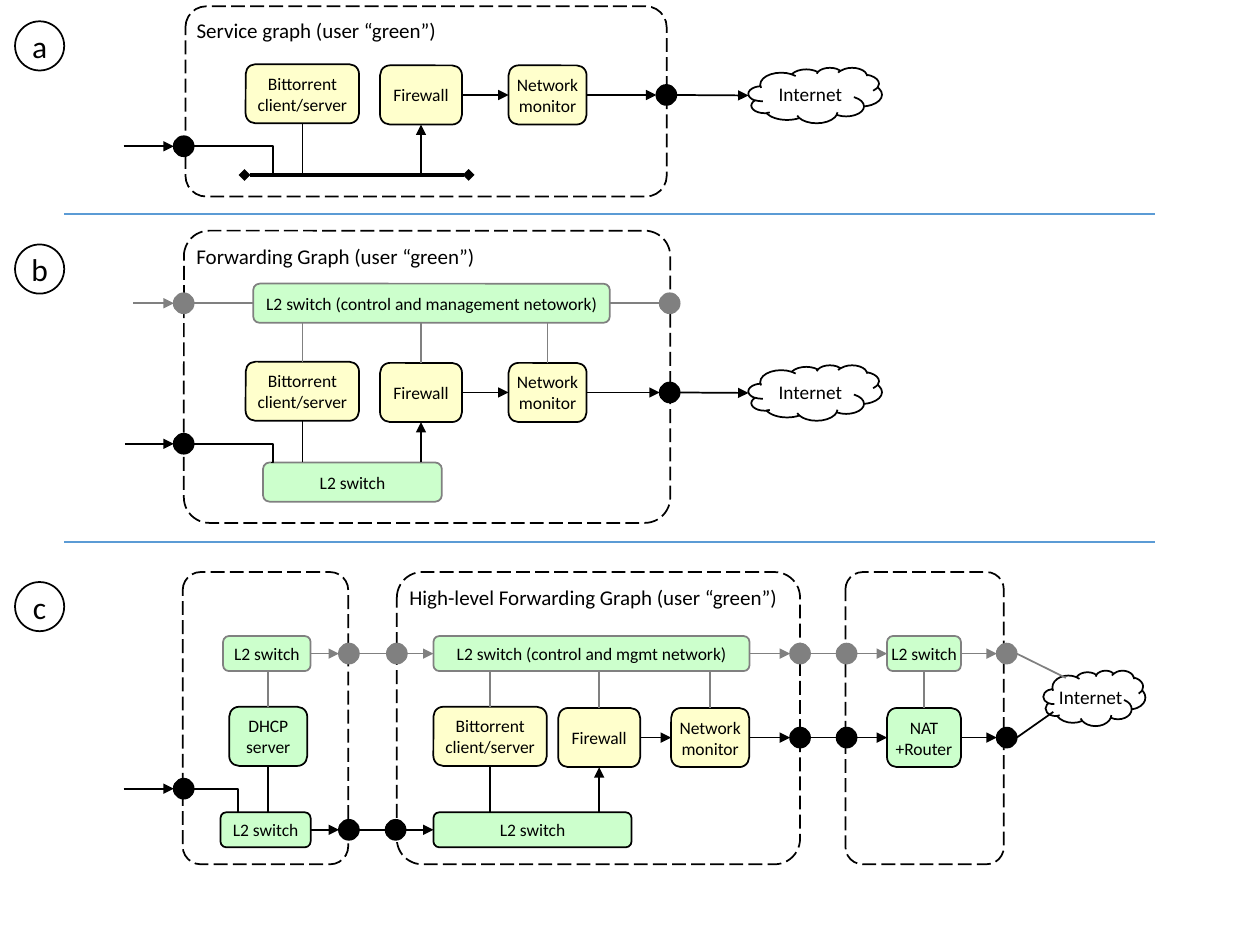
from lxml import etree
from pptx import Presentation
from pptx.dml.color import RGBColor
from pptx.enum.dml import MSO_LINE
from pptx.enum.shapes import MSO_CONNECTOR, MSO_SHAPE
from pptx.enum.text import MSO_ANCHOR, PP_ALIGN
from pptx.oxml.ns import qn
from pptx.util import Pt

ROUNDED = MSO_SHAPE.ROUNDED_RECTANGLE
ELLIPSE = MSO_SHAPE.OVAL
CLOUD = MSO_SHAPE.CLOUD
STRAIGHT = MSO_CONNECTOR.STRAIGHT
ELBOW = MSO_CONNECTOR.ELBOW
DASH = MSO_LINE.LONG_DASH
MIDDLE, TOP_ANCHOR = MSO_ANCHOR.MIDDLE, MSO_ANCHOR.TOP
CENTER, JUSTIFY = PP_ALIGN.CENTER, PP_ALIGN.JUSTIFY

BLACK = RGBColor(0x00, 0x00, 0x00)
GRAY = RGBColor(0x80, 0x80, 0x80)
WHITE = RGBColor(0xFF, 0xFF, 0xFF)
YELLOW = RGBColor(0xFF, 0xFF, 0xCC)
GREEN = RGBColor(0xCC, 0xFF, 0xCC)
BLUE = RGBColor(0x5B, 0x9B, 0xD5)

TOP, LEFT, BOTTOM, RIGHT = range(4)
SIDE_POINTS = [(0.5, 0), (0, 0.5), (0.5, 1), (1, 0.5)]

presentation = Presentation()
presentation.slide_width, presentation.slide_height = Pt(720), Pt(540)
slide = presentation.slides.add_slide(presentation.slide_layouts[6])


def add_shape(kind, box, text="", fill=None, line=BLACK, size=10,
              inset=0, anchor=MIDDLE, align=CENTER):
    shape = slide.shapes.add_shape(kind, *[Pt(value) for value in box])
    shape.shadow.inherit = False
    if fill is None:
        shape.fill.background()
    else:
        shape.fill.solid()
        shape.fill.fore_color.rgb = fill
    shape.line.color.rgb = line
    shape.line.width = Pt(1)
    frame = shape.text_frame
    frame.word_wrap = True
    frame.vertical_anchor = anchor
    frame.margin_left = frame.margin_right = Pt(inset)
    frame.margin_top = frame.margin_bottom = Pt(inset)
    if text:
        frame.text = text
        for paragraph in frame.paragraphs:
            paragraph.alignment = align
            paragraph.font.size = Pt(size)
            paragraph.font.name = "Calibri"
            paragraph.font.color.rgb = BLACK
    return shape


def add_line(start, end, color=BLACK, head=None, tail=None, width=1, kind=STRAIGHT):
    """Each end is an (x, y) point or a (shape, side) pair."""
    points = []
    for first, second in (start, end):
        if hasattr(first, "shape_type"):
            across, down = SIDE_POINTS[second]
            points += [int(first.left + first.width * across),
                       int(first.top + first.height * down)]
        else:
            points += [Pt(first), Pt(second)]
    connector = slide.shapes.add_connector(kind, *points)
    for (shape, side), join in ((start, connector.begin_connect), (end, connector.end_connect)):
        if hasattr(shape, "shape_type") and shape.auto_shape_type == ROUNDED:
            join(shape, side)
    connector.line.color.rgb = color
    connector.line.width = Pt(width)
    outline = connector.line._get_or_add_ln()
    for tag, arrow in (("a:headEnd", head), ("a:tailEnd", tail)):
        if arrow:
            etree.SubElement(outline, qn(tag)).set("type", arrow)
    etree.SubElement(connector._element.spPr, qn("a:effectLst"))
    return connector


# Separators and panel letters
for y in (122.5, 309.7):
    add_line((36.7, y), (660.3, y), BLUE)
for letter, y in (("a", 12.2), ("b", 139.7), ("c", 332.6)):
    add_shape(ELLIPSE, (8.6, y, 28.1, 28.1), letter, size=18, inset=3)

# Dashed frames
frames = [
    ((106, 3.6, 275, 108.7), 0.109, "Service graph (user “green”)"),
    ((105.1, 131.8, 277.9, 167), 0.087, "Forwarding Graph (user “green”)"),
    ((226.8, 326.9, 230.4, 167), 0.087, "High-level Forwarding Graph (user “green”)"),
    ((104.4, 326.9, 94.6, 167), 0.109, ""),
    ((483.1, 326.9, 90.5, 167), 0.109, ""),
]
for box, corner, title in frames:
    frame_shape = add_shape(ROUNDED, box, title, size=12, inset=2.9,
                            anchor=TOP_ANCHOR, align=JUSTIFY)
    frame_shape.adjustments[0] = corner
    frame_shape.line.dash_style = DASH

# Network functions: panel, top, left edges of the three boxes
nodes = {}
functions = [
    ("client", "Bittorrent client/server", 64.8, 0),
    ("firewall", "Firewall", 46.8, 0.7),
    ("monitor", "Network\nmonitor", 44.6, 0.7),
]
for panel, top, lefts in (("a", 36.7, (140.4, 217.2, 290.6)),
                          ("b", 206.7, (140.4, 217.2, 290.6)),
                          ("c", 403.9, (247.7, 319, 383.5))):
    for (name, text, width, drop), left in zip(functions, lefts):
        nodes[panel, name] = add_shape(ROUNDED, (left, top + drop, width, 33.8), text, YELLOW)

# Switches, DHCP server and router
green_boxes = [
    ("b", "control", (144.7, 162.1, 203.8, 22.4), GRAY,
     "L2 switch (control and management netowork)"),
    ("b", "data", (150.3, 264.3, 102.2, 22.4), GRAY, "L2 switch"),
    ("c", "dhcp control", (127.5, 363.5, 50, 20), GRAY, "L2 switch"),
    ("c", "control", (247.7, 363.5, 180.6, 20), GRAY, "L2 switch (control and mgmt network)"),
    ("c", "nat control", (506.9, 363.5, 42.2, 20), GRAY, "L2 switch"),
    ("c", "dhcp", (131, 403.9, 44.6, 33.8), BLACK, "DHCP server"),
    ("c", "nat", (506.9, 404.6, 42.2, 33.8), BLACK, "NAT +Router"),
    ("c", "dhcp data", (126, 464.2, 51.5, 20), BLACK, "L2 switch"),
    ("c", "data", (247.7, 464.2, 113.2, 20), BLACK, "L2 switch"),
]
for panel, name, box, line, text in green_boxes:
    nodes[panel, name] = add_shape(ROUNDED, box, text, GREEN, line)

# Internet clouds
for panel, box in (("a", (427.7, 38.7, 76.3, 31.7)), ("b", (427.7, 208.7, 76.3, 31.7)),
                   ("c", (596.2, 383.2, 58.3, 31.7))):
    nodes[panel, "internet"] = add_shape(CLOUD, box, "Internet", WHITE, size=11)

# Endpoints, placed by their centres
DOT = 11.4
dots = [
    ("a", BLACK, 83.6, {"in": 105, "out": 380.8}),
    ("a", BLACK, 54.3, {"out": 380.8}),
    ("b", GRAY, 173.3, {"control in": 105, "control out": 382.7}),
    ("b", BLACK, 253.6, {"in": 105}),
    ("b", BLACK, 224.3, {"out": 382.7}),
    ("c", BLACK, 450.7, {"in": 105}),
    ("c", GRAY, 373.5, {"control 1": 199.4, "control 2": 226.8, "control 3": 457.2,
                        "control 4": 483.8, "control 5": 575.3}),
    ("c", BLACK, 421.5, {"data 3": 457.2, "data 4": 483.8, "data 5": 575.3}),
    ("c", BLACK, 474.2, {"data 1": 199.4, "data 2": 226.1}),
]
dots[0][3].pop("out")
for panel, color, y, centres in dots:
    for name, x in centres.items():
        nodes[panel, name] = add_shape(
            ELLIPSE, (x - DOT / 2, y - DOT / 2, DOT, DOT), fill=color, line=color)

# Arrows entering from the left
for panel, name, x, y, color in (("a", "in", 70.6, 83.6, BLACK), ("b", "in", 71.3, 253.6, BLACK),
                                 ("b", "control in", 76.3, 173.3, GRAY),
                                 ("c", "in", 70.6, 450.7, BLACK)):
    add_line((x, y), (nodes[panel, name], LEFT), color, tail="triangle")

# Horizontal chains; ">" is an arrow, "-" a plain line
chains = [
    ("a", BLACK, "firewall > monitor > out > internet"),
    ("b", BLACK, "firewall > monitor > out > internet"),
    ("b", GRAY, "control in - control - control out"),
    ("c", GRAY, "dhcp control > control 1 - control 2 > control > control 3 - control 4"
                " > nat control > control 5"),
    ("c", BLACK, "firewall > monitor > data 3 - data 4 > nat > data 5"),
    ("c", BLACK, "dhcp data > data 1 - data 2 > data"),
]
for panel, color, chain in chains:
    parts = chain.replace(" > ", "|>|").replace(" - ", "|-|").split("|")
    for left, link, right in zip(parts[::2], parts[1::2], parts[2::2]):
        add_line((nodes[panel, left], RIGHT), (nodes[panel, right], LEFT), color,
                 tail="triangle" if link == ">" else None)

# Vertical links: each function up to the control switch and down to the data switch
verticals = [
    ("a", None, 100, ("client", "firewall"), ()),
    ("b", 184.5, 264.3, ("client", "firewall"), ("client", "firewall", "monitor")),
    ("c", 383.5, 464.2, ("client", "firewall", "dhcp"),
     ("client", "firewall", "monitor", "dhcp", "nat")),
]
for panel, control_y, data_y, data_names, control_names in verticals:
    for name in data_names:
        node = nodes[panel, name]
        add_line(((node.left + node.width / 2) / Pt(1), data_y), (node, BOTTOM),
                 tail="triangle" if name == "firewall" else None)
    for name in control_names:
        node = nodes[panel, name]
        add_line(((node.left + node.width / 2) / Pt(1), control_y), (node, TOP), GRAY)

# Elbows from the entry points to the switches
for panel, end, bend in (("a", (154.8, 100), 102600), ("b", (154.8, 264.3), 102600),
                         ("c", (136.2, 464.2), 100000)):
    elbow = add_line((nodes[panel, "in"], RIGHT), end, kind=ELBOW)
    guide = etree.SubElement(elbow._element.spPr.prstGeom.get_or_add_avLst(), qn("a:gd"))
    guide.set("name", "adj1")
    guide.set("fmla", f"val {bend}")

# Shared bus and links to the lower cloud
add_line((139.7, 100), (267.8, 100), head="diamond", tail="diamond", width=2.25)
add_line((nodes["c", "control 5"], RIGHT), (609.1, 387.4), GRAY)
add_line((nodes["c", "data 5"], RIGHT), (601.9, 406.8))

presentation.save("out.pptx")
